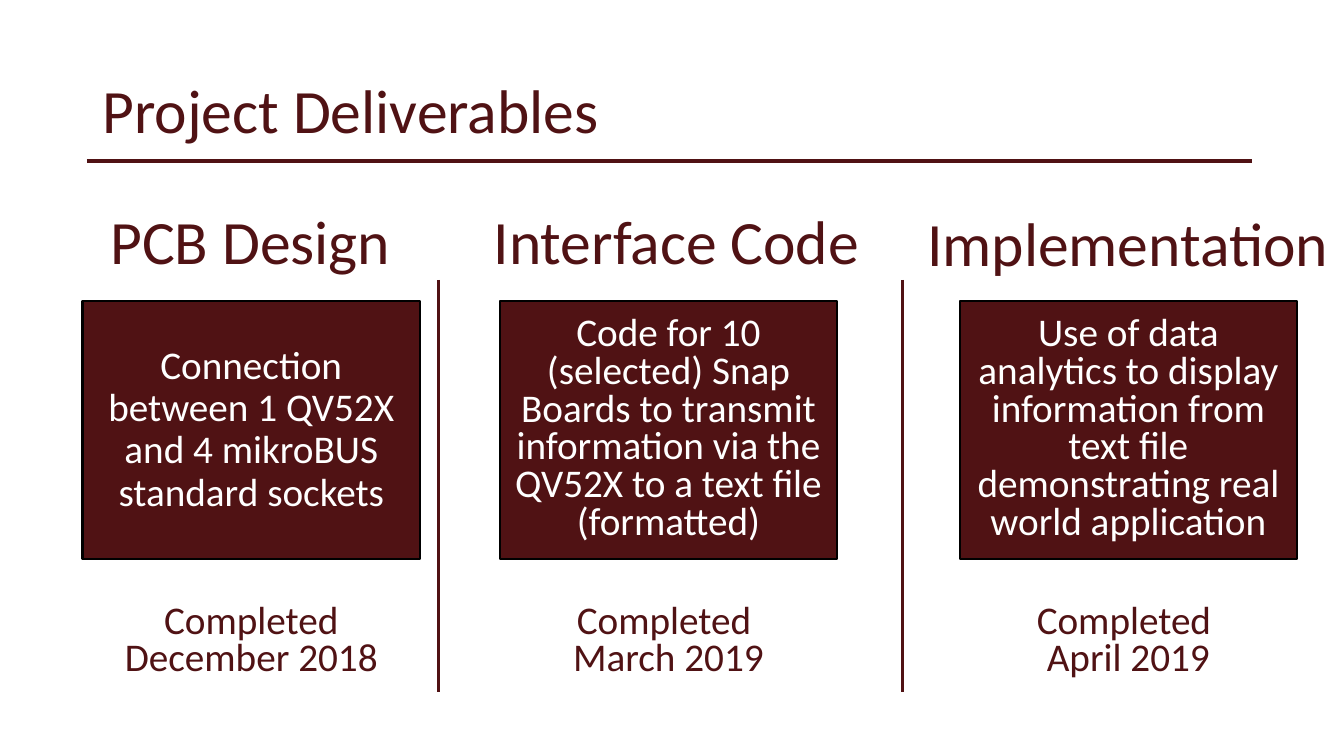
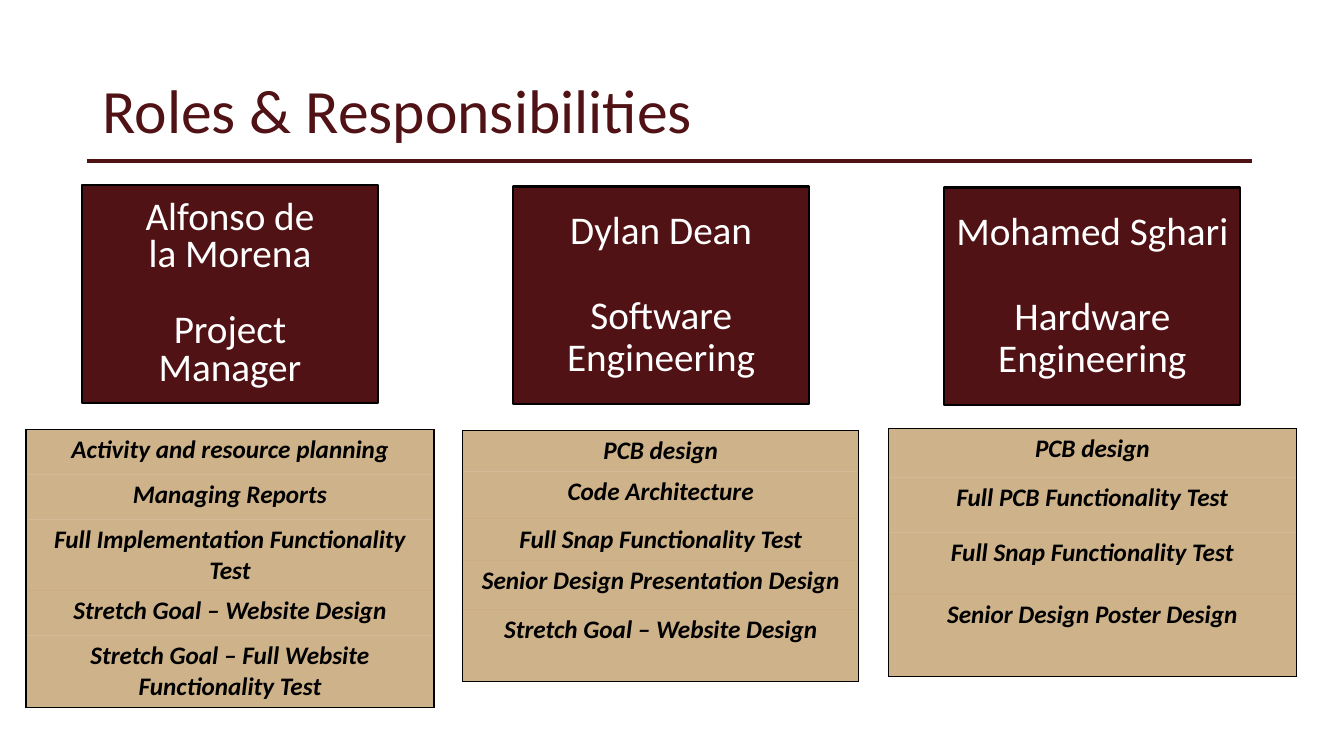
from lxml import etree
from pptx import Presentation
from pptx.dml.color import RGBColor
from pptx.enum.shapes import MSO_CONNECTOR, MSO_SHAPE
from pptx.enum.text import MSO_ANCHOR, MSO_AUTO_SIZE, PP_ALIGN
from pptx.oxml.ns import qn
from pptx.util import Pt

STRAIGHT = MSO_CONNECTOR.STRAIGHT
RECTANGLE = MSO_SHAPE.RECTANGLE
MIDDLE = MSO_ANCHOR.MIDDLE
NO_AUTOFIT = MSO_AUTO_SIZE.NONE
LEFT, CENTER = PP_ALIGN.LEFT, PP_ALIGN.CENTER

COLORS = {"maroon": "501214", "gold": "9E6614", "black": "000000", "white": "FFFFFF"}
FONT = "Calibri"
TITLE_SIZE, CARD_SIZE, TABLE_SIZE = 44, 28, 18
TITLE_ONLY = 5
PLAIN_TABLE_STYLE = "{2D5ABB26-0587-4C30-8999-92F81FD0307C}"

DELIVERABLES = [
    {
        "heading": "PCB Design", "heading_box": (58.5, 135.5, 241, 78), "left": 59,
        "card": "Connection between 1 QV52X and 4 mikroBUS standard sockets", "spacing": 0.9,
        "done": ["Completed December 2018"],
    },
    {
        "heading": "Interface Code", "heading_box": (340, 135.5, 286.5, 78), "left": 357,
        "card": "Code for 10 (selected) Snap Boards to transmit information "
                "via the QV52X to a text file (formatted)", "spacing": 0.8,
        "done": ["Completed ", "March 2019"],
    },
    {
        "heading": "Implementation", "heading_box": (652.5, 137, 306.5, 78), "left": 685.5,
        "card": "Use of data analytics to display information from text file "
                "demonstrating real world application", "spacing": 0.8,
        "done": ["Completed ", "April 2019"],
    },
]

MEMBERS = [
    {
        "name": ["Alfonso de", "la Morena"], "role": ["Project", "Manager"],
        "spacing": 0.8, "gap": 27, "table_box": (18.5, 307, 291.5),
        "tasks": [
            ("Activity and resource planning", 32),
            ("Managing Reports", 32),
            ("Full Implementation Functionality Test", 32),
            ("Stretch Goal – Website Design", 32),
            ("Stretch Goal – Full Website Functionality Test", 32),
        ],
    },
    {
        "name": ["Dylan Dean"], "role": ["Software Engineering"],
        "spacing": 0.9, "gap": 30.5, "table_box": (330.5, 307.5, 283),
        "tasks": [
            ("PCB design", 29),
            ("Code Architecture", 34),
            ("Full Snap Functionality Test", 29.5),
            ("Senior Design Presentation Design", 35),
            ("Stretch Goal – Website Design", 51.5),
        ],
    },
    {
        "name": ["Mohamed Sghari"], "role": ["Hardware Engineering"],
        "spacing": 0.9, "gap": 30.5, "table_box": (634.5, 306, 291.5),
        "tasks": [
            ("PCB design", 35),
            ("Full PCB Functionality Test", 39.5),
            ("Full Snap Functionality Test", 44.5),
            ("Senior Design Poster Design", 58.5),
        ],
    },
]


def rgb(color):
    return RGBColor.from_string(COLORS[color])


def add_span(para, text, size, color, emphasis=False):
    span = para.add_run()
    span.text = text
    span.font.name = FONT
    span.font.size = Pt(size)
    span.font.color.rgb = rgb(color)
    span.font.bold = span.font.italic = emphasis


def write_lines(shape, lines, size, color, spacing, align=CENTER, gaps=None):
    frame = shape.text_frame
    frame.word_wrap = True
    frame.auto_size = NO_AUTOFIT
    frame.vertical_anchor = MIDDLE
    for index, line in enumerate(lines):
        para = frame.add_paragraph() if index else frame.paragraphs[0]
        para.alignment = align
        para.line_spacing = spacing
        para.space_before = Pt((gaps or {}).get(index, 0))
        add_span(para, line, size, color)


def add_rule(slide, *ends):
    rule = slide.shapes.add_connector(STRAIGHT, *map(Pt, ends))
    rule.line.color.rgb = rgb("maroon")
    rule.line.width = Pt(2.25)
    etree.SubElement(rule._element.spPr, qn("a:effectLst"))


def add_titled_slide(deck, title):
    slide = deck.slides.add_slide(deck.slide_layouts[TITLE_ONLY])
    box = slide.shapes.title
    box.left, box.top, box.width, box.height = map(Pt, (66, 29, 828, 104.5))
    write_lines(box, [title], TITLE_SIZE, "maroon", 0.9, LEFT)
    add_rule(slide, 62, 115, 894, 115)
    return slide


def add_label(slide, place, lines, size, spacing):
    box = slide.shapes.add_textbox(*map(Pt, place))
    write_lines(box, lines, size, "maroon", spacing)


def add_card(slide, place, lines, spacing, gaps=None):
    card = slide.shapes.add_shape(RECTANGLE, *map(Pt, place))
    card.shadow.inherit = False
    card.fill.solid()
    card.fill.fore_color.rgb = rgb("maroon")
    card.line.color.rgb = rgb("black")
    card.line.width = Pt(1.5)
    write_lines(card, lines, CARD_SIZE, "white", spacing, gaps=gaps)


def format_cell(cell, sides):
    properties = cell._tc.get_or_add_tcPr()
    for side in sides:
        border = etree.SubElement(properties, qn(f"a:ln{side}"), w=str(Pt(1)))
        fill = etree.SubElement(border, qn("a:solidFill"))
        etree.SubElement(fill, qn("a:srgbClr"), val=COLORS["black"])
    cell.fill.solid()
    cell.fill.fore_color.rgb = rgb("gold")
    tint = properties.find(qn("a:solidFill")).find(qn("a:srgbClr"))
    etree.SubElement(tint, qn("a:alpha"), val="50000")


def add_task_table(slide, place, tasks):
    left, top, width = place
    height = sum(row_height for _, row_height in tasks)
    frame = slide.shapes.add_table(len(tasks), 1, *map(Pt, (left, top, width, height)))
    table = frame.table
    table.first_row = table.horz_banding = False
    table._tbl.tblPr.find(qn("a:tableStyleId")).text = PLAIN_TABLE_STYLE
    for index, (task, row_height) in enumerate(tasks):
        table.rows[index].height = Pt(row_height)
        cell = table.cell(index, 0)
        top_side = "T" if index == 0 else ""
        bottom_side = "B" if index == len(tasks) - 1 else ""
        format_cell(cell, "LR" + top_side + bottom_side)
        para = cell.text_frame.paragraphs[0]
        para.alignment = CENTER
        add_span(para, task, TABLE_SIZE, "black", emphasis=True)


def build_deliverables(deck):
    slide = add_titled_slide(deck, "Project Deliverables")
    for x in (313, 644.5):
        add_rule(slide, x, 200, x, 494.5)
    for item in DELIVERABLES:
        add_label(slide, item["heading_box"], [item["heading"]], TITLE_SIZE, 0.9)
        add_card(slide, (item["left"], 215, 241, 184), [item["card"]], item["spacing"])
        add_label(slide, (item["left"], 425, 241, 67), item["done"], CARD_SIZE, 0.8)


def build_roles(deck):
    slide = add_titled_slide(deck, "Roles & Responsibilities")
    for index, member in enumerate(MEMBERS):
        place = (58.5 + 308 * index, 132.5 + 0.75 * index, 211.5, 155.5)
        gaps = {len(member["name"]): member["gap"]}
        add_card(slide, place, member["name"] + member["role"], member["spacing"], gaps)
        add_task_table(slide, member["table_box"], member["tasks"])


def main():
    deck = Presentation()
    deck.slide_width, deck.slide_height = Pt(960), Pt(540)
    build_deliverables(deck)
    build_roles(deck)
    deck.save("out.pptx")


if __name__ == "__main__":
    main()
